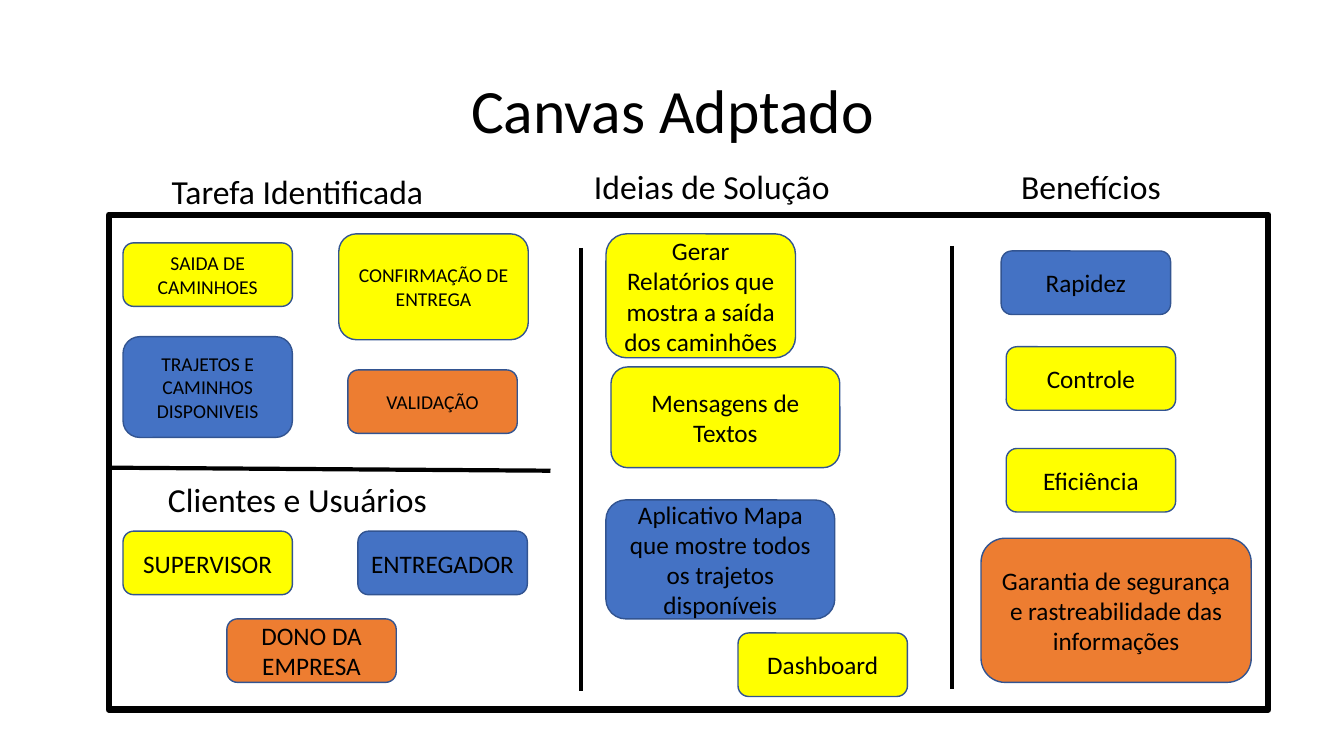
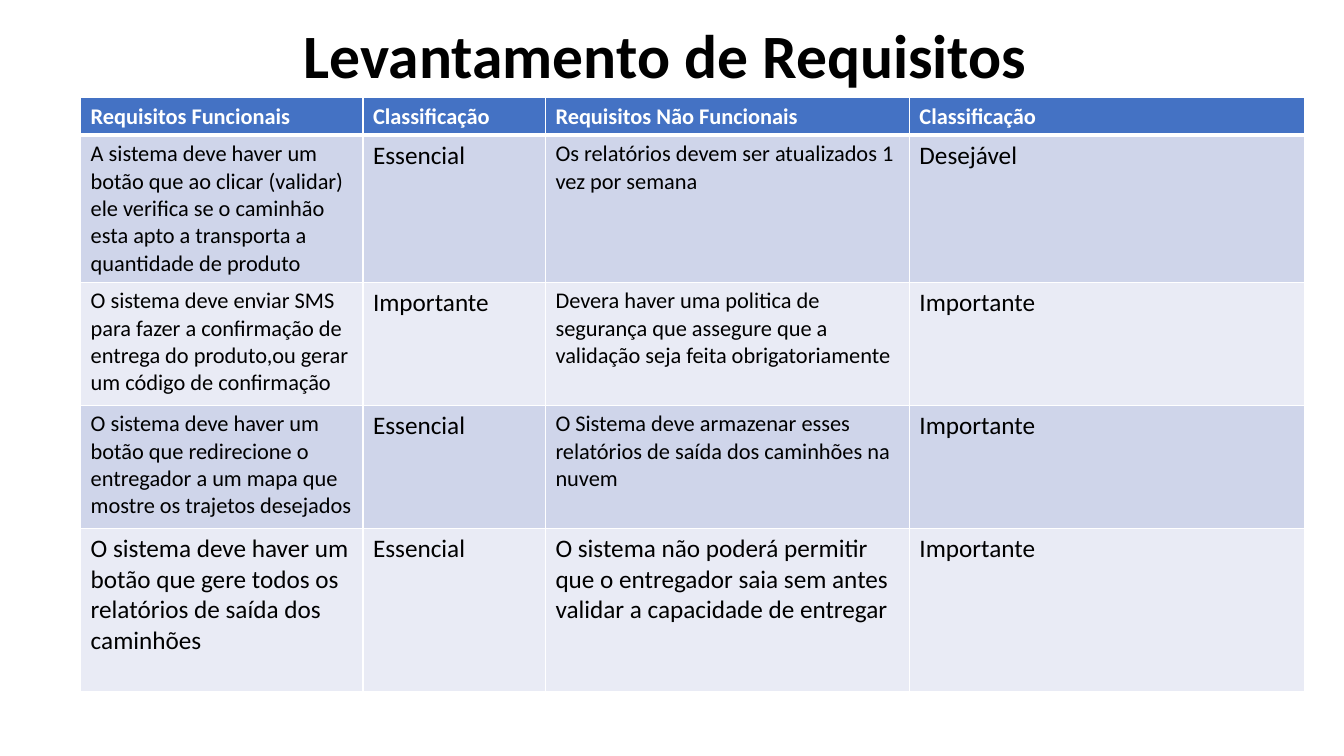
from lxml.etree import SubElement
from pptx import Presentation
from pptx.dml.color import RGBColor as Rgb
from pptx.enum.shapes import MSO_CONNECTOR as Conn, MSO_SHAPE as Form
from pptx.enum.text import MSO_ANCHOR as Anchor, MSO_AUTO_SIZE as Auto, PP_ALIGN as Align
from pptx.oxml import parse_xml
from pptx.oxml.ns import nsdecls, qn
from pptx.util import Pt

PX = 9144


class Theme:
    font = "Calibri"
    black = Rgb.from_string("000000")
    white = Rgb.from_string("FFFFFF")
    yellow = Rgb.from_string("FFFF00")
    blue = Rgb.from_string("4472C4")
    orange = Rgb.from_string("ED7D31")
    edge = Rgb.from_string("325491")
    bands = [Rgb.from_string("CFD5EA"), Rgb.from_string("E9EBF5")]
    title, label, body, head, small = 44, 24, 18, 16, 14


def write(frame, text, size, color=Theme.black, bold=False, align=Align.CENTER):
    frame.text = text
    frame.word_wrap = True
    para = frame.paragraphs[0]
    para.alignment = align
    font = para.runs[0].font
    font.name, font.size, font.bold = Theme.font, Pt(size), bold
    font.color.rgb = color


def place(*box):
    return [n * PX for n in box]


deck = Presentation()
deck.slide_width, deck.slide_height = place(1333, 750)

titles = [
    ("Canvas Adptado", 40, 145, False),
    ("Levantamento de Requisitos ", 14, 89, True),
]
slides = []
for text, top, high, bold in titles:
    slide = deck.slides.add_slide(deck.slide_layouts[5])
    title = slide.shapes.title
    title.left, title.top, title.width, title.height = place(92, top, 1150, high)
    frame = title.text_frame
    write(frame, text, Theme.title, bold=bold)
    frame.auto_size = Auto.NONE
    frame.vertical_anchor = Anchor.MIDDLE
    frame.paragraphs[0].line_spacing = 0.9
    slides.append(slide)
canvas, needs = slides

board = canvas.shapes.add_shape(Form.RECTANGLE, *place(108, 213, 1150, 491))
board.shadow.inherit = False
board.fill.solid()
board.fill.fore_color.rgb = Theme.white
board.line.color.rgb = Theme.black
board.line.width = Pt(4.5)

for ends in [(108, 464, 546, 467), (576, 246, 576, 686), (944, 244, 944, 684)]:
    rule = canvas.shapes.add_connector(Conn.STRAIGHT, *place(*ends))
    rule.line.color.rgb = Theme.black
    rule.line.width = Pt(3)
    SubElement(rule._element.spPr, qn("a:effectLst"))

labels = [
    ("Tarefa Identificada", 135, 165),
    ("Ideias de Solução", 546, 160),
    ("Benefícios", 922, 160),
    ("Clientes e Usuários", 135, 470),
]
for text, left, top in labels:
    label = canvas.shapes.add_textbox(*place(left, top, 320, 50))
    write(label.text_frame, text, Theme.label)
    label.text_frame.auto_size = Auto.SHAPE_TO_FIT_TEXT

note = (168, 63)
tasks = [
    ("SAIDA DE CAMINHOES", Theme.yellow, 122, 241, note),
    ("CONFIRMAÇÃO DE ENTREGA", Theme.yellow, 336, 232, (188, 105)),
    ("TRAJETOS E CAMINHOS DISPONIVEIS", Theme.blue, 122, 334, (168, 100)),
    ("VALIDAÇÃO", Theme.orange, 345, 367, note),
]
users = [
    ("SUPERVISOR", Theme.yellow, 122, 527, note),
    ("ENTREGADOR", Theme.blue, 355, 527, note),
    ("DONO DA EMPRESA", Theme.orange, 225, 614, note),
]
ideas = [
    ("Gerar Relatórios que mostra a saída dos caminhões", Theme.yellow, 601, 232, (188, 123)),
    ("Mensagens de Textos", Theme.yellow, 606, 364, (227, 100)),
    ("Aplicativo Mapa que mostre todos os trajetos disponíveis", Theme.blue, 601, 496, (227, 118)),
    ("Dashboard", Theme.yellow, 732, 628, note),
]
gains = [
    ("Rapidez", Theme.blue, 993, 249, note),
    ("Controle", Theme.yellow, 998, 344, note),
    ("Eficiência", Theme.yellow, 998, 445, note),
    ("Garantia de segurança e rastreabilidade das informações", Theme.orange, 973, 534, (268, 143)),
]
for size, group in [(Theme.small, tasks), (Theme.body, users + ideas + gains)]:
    for text, color, left, top, area in group:
        card = canvas.shapes.add_shape(Form.ROUNDED_RECTANGLE, *place(left, top, *area))
        card.shadow.inherit = False
        card.fill.solid()
        card.fill.fore_color.rgb = color
        card.line.color.rgb = Theme.edge
        card.line.width = Pt(1)
        write(card.text_frame, text, size)
        card.text_frame.vertical_anchor = Anchor.MIDDLE

rows = [
    ("Requisitos Funcionais", "Classificação", "Requisitos Não Funcionais", "Classificação"),
    ("A sistema deve haver um botão que ao clicar (validar) ele verifica se o caminhão esta apto a transporta a quantidade de produto",
     "Essencial", "Os relatórios devem ser atualizados 1 vez por semana", "Desejável"),
    ("O sistema deve enviar SMS para fazer a confirmação de entrega do produto,ou gerar um código de confirmação",
     "Importante", "Devera haver uma politica de segurança que assegure que a validação seja feita obrigatoriamente", "Importante"),
    ("O sistema deve haver um botão que redirecione o entregador a um mapa que mostre os trajetos desejados",
     "Essencial", "O Sistema deve armazenar esses relatórios de saída dos caminhões na nuvem", "Importante"),
    ("O sistema deve haver um botão que gere todos os relatórios de saída dos caminhões",
     "Essencial", "O sistema não poderá permitir que o entregador saia sem antes validar a capacidade de entregar", "Importante"),
]
wides = [280, 181, 361, 392]
highs = [37, 145, 122, 122, 162]
last = len(rows) - 1
grid = needs.shapes.add_table(
    len(rows), len(wides), *place(80, 97, sum(wides), sum(highs))).table
for col, wide in zip(grid.columns, wides):
    col.width = wide * PX
for row, high in zip(grid.rows, highs):
    row.height = high * PX

for r, row in enumerate(rows):
    for c, text in enumerate(row):
        cell = grid.cell(r, c)
        head = r == 0
        large = r == last or (not head and c % 2 == 1)
        write(cell.text_frame, text, Theme.body if large else Theme.head,
              Theme.white if head else Theme.black, head, Align.LEFT)
        cell.fill.solid()
        cell.fill.fore_color.rgb = Theme.blue if head else Theme.bands[(r - 1) % 2]
        props = cell._tc.get_or_add_tcPr()
        for i, side in enumerate("LRTB"):
            thick = (side == "B" and r == 0) or (side == "T" and r == 1)
            props.insert(i, parse_xml(
                f'<a:ln{side} {nsdecls("a")} w="{Pt(3 if thick else 1)}">'
                f'<a:solidFill><a:srgbClr val="{Theme.white}"/></a:solidFill></a:ln{side}>'))

deck.save("out.pptx")
